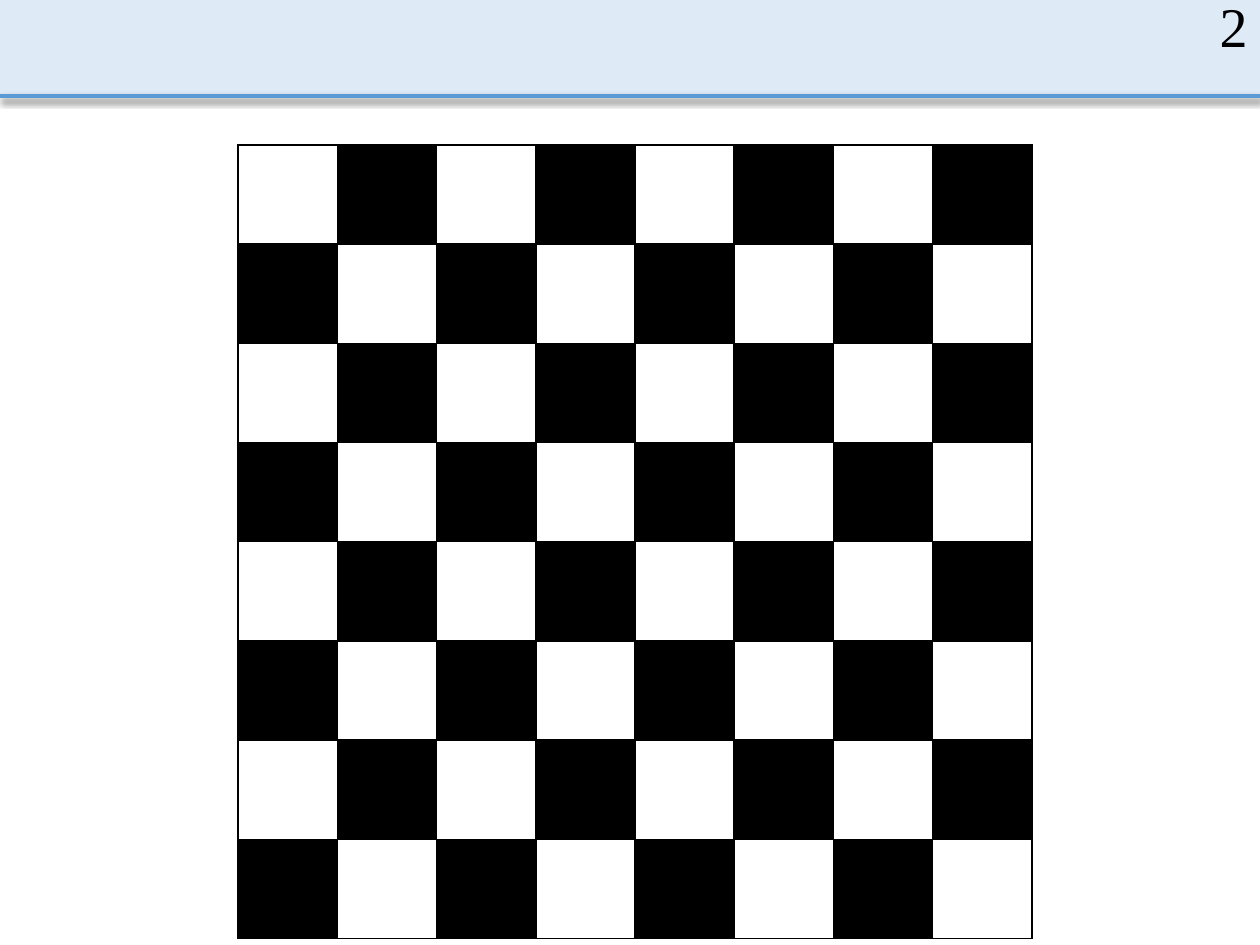
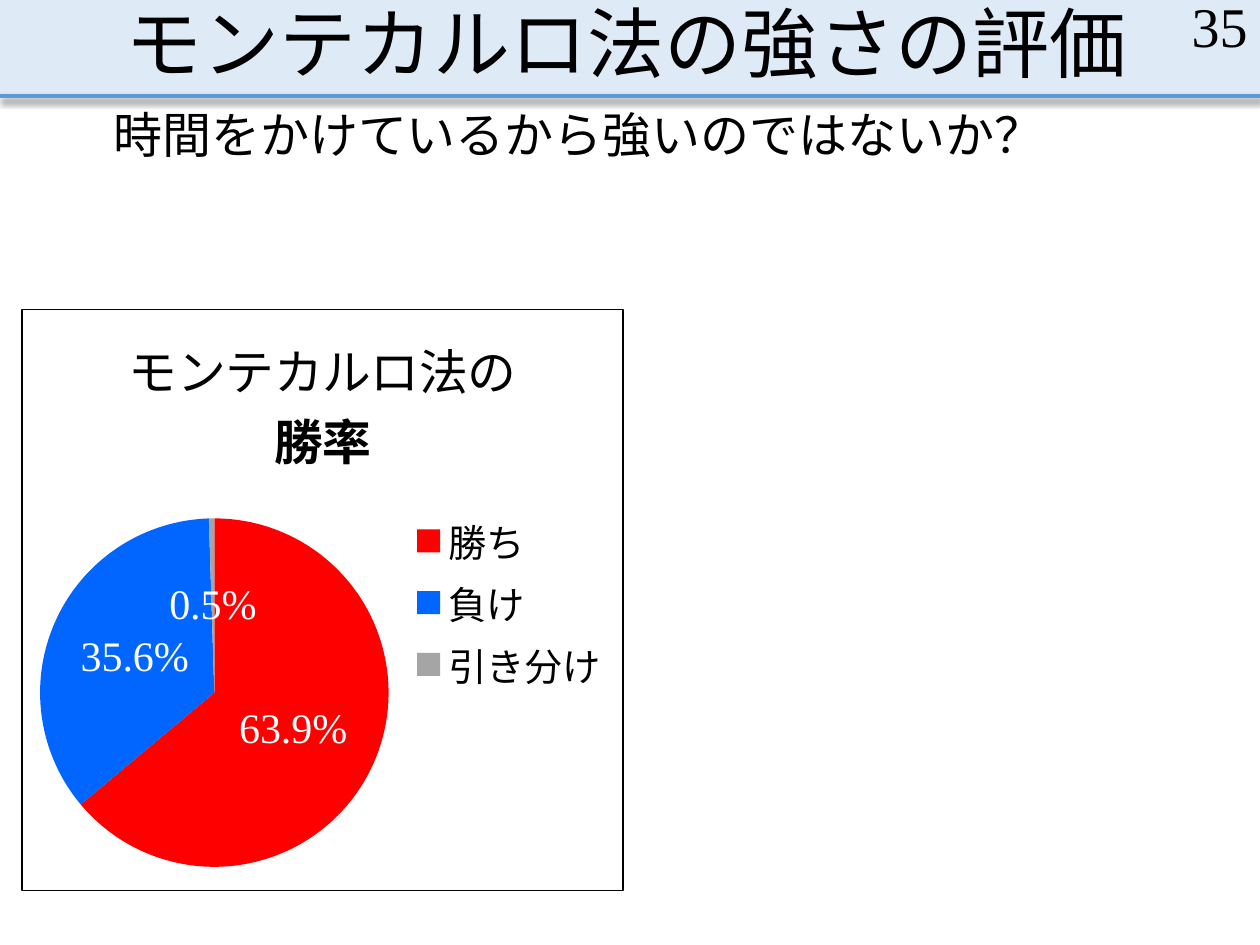
from dataclasses import dataclass

from lxml import etree
from pptx import Presentation
from pptx import util as u
from pptx.chart.data import CategoryChartData
from pptx.dml.color import RGBColor
from pptx.enum import chart as ch, shapes, text
from pptx.oxml import parse_xml
from pptx.oxml.ns import nsdecls, qn

WIDTH, HEIGHT = u.Inches(10), u.Inches(7.5)
FONT = "Times New Roman"
BLACK, WHITE = "000000", "FFFFFF"
BAND_FILL, BAND_LINE = "DEEBF7", "5B9BD5"
BOARD_SIZE = 8


@dataclass(frozen=True)
class Box:
    """A frame in percent of the slide's width and height."""
    left: float
    top: float
    width: float
    height: float

    def emu(self) -> tuple[int, int, int, int]:
        return (round(self.left * WIDTH / 100), round(self.top * HEIGHT / 100),
                round(self.width * WIDTH / 100), round(self.height * HEIGHT / 100))


@dataclass(frozen=True)
class Outcome:
    label: str
    percent: float
    color: str


BAND = Box(0, 0, 100, 10.13)
TITLE = Box(9, 0, 82.5, 10.13)
PAGE_NUMBER = Box(77.5, 0, 22.5, 5.33)
QUESTION = Box(9, 11.07, 87.2, 20.8)
BOARD = Box(18.9, 15.33, 63, 84)
WIN_RATE = Box(1.7, 32.67, 47.8, 61.6)

OUTCOMES = [
    Outcome("勝ち", 63.9, "FF0000"),
    Outcome("負け", 35.6, "0066FF"),
    Outcome("引き分け", 0.5, "A5A5A5"),
]


def rgb(color: str) -> RGBColor:
    return RGBColor.from_string(color)


def fill(obj, color: str) -> None:
    obj.fill.solid()
    obj.fill.fore_color.rgb = rgb(color)


def style_font(font, size: float, color: str = BLACK, bold: bool = False) -> None:
    font.name, font.size, font.bold = FONT, u.Pt(size), bold
    font.color.rgb = rgb(color)


def line_xml(tag: str, color: str, points: float) -> str:
    return (f'<a:{tag} {nsdecls("a")} w="{u.Pt(points)}"><a:solidFill>'
            f'<a:srgbClr val="{color}"/></a:solidFill></a:{tag}>')


def add_text(slide, box: Box, content: str, *, size: float,
             align=text.PP_ALIGN.LEFT, anchor=text.MSO_ANCHOR.TOP,
             spacing: float = 1.0, side_inset: float = 0.1) -> None:
    tf = slide.shapes.add_textbox(*box.emu()).text_frame
    tf.word_wrap = True
    tf.vertical_anchor = anchor
    tf.margin_left = tf.margin_right = u.Inches(side_inset)
    p = tf.paragraphs[0]
    p.alignment, p.line_spacing = align, spacing
    r = p.add_run()
    r.text = content
    style_font(r.font, size)


def add_band(slide) -> None:
    left, top, width, height = BAND.emu()
    sp = slide.shapes.add_shape(shapes.MSO_SHAPE.RECTANGLE, left, top, width, height)
    sp.shadow.inherit = False
    fill(sp, BAND_FILL)
    sp.line.fill.background()
    rule = slide.shapes.add_connector(shapes.MSO_CONNECTOR.STRAIGHT,
                                      left, height, width, height)
    rule.line.color.rgb = rgb(BAND_LINE)
    rule.line.width = u.Pt(2.25)
    rule._element.spPr.append(parse_xml(
        f'<a:effectLst {nsdecls("a")}><a:outerShdw blurRad="{u.Pt(4)}" '
        f'dist="{u.Pt(2.5)}" dir="5400000" algn="t" rotWithShape="0">'
        f'<a:srgbClr val="{BLACK}"><a:alpha val="47000"/></a:srgbClr>'
        '</a:outerShdw></a:effectLst>'))


def new_slide(prs, number: int, title: str = ""):
    slide = prs.slides.add_slide(prs.slide_layouts[6])
    add_band(slide)
    if title:
        add_text(slide, TITLE, title, size=44, spacing=0.9,
                 anchor=text.MSO_ANCHOR.BOTTOM)
    add_text(slide, PAGE_NUMBER, str(number), size=32,
             align=text.PP_ALIGN.RIGHT, anchor=text.MSO_ANCHOR.MIDDLE)
    return slide


def add_checkerboard(slide) -> None:
    table = slide.shapes.add_table(BOARD_SIZE, BOARD_SIZE, *BOARD.emu()).table
    table.first_row = table.horz_banding = False
    for row in range(BOARD_SIZE):
        for col in range(BOARD_SIZE):
            cell = table.cell(row, col)
            tc_pr = cell._tc.get_or_add_tcPr()
            for side in ("lnL", "lnR", "lnT", "lnB"):
                tc_pr.append(parse_xml(line_xml(side, BLACK, 1)))
            fill(cell, BLACK if (row + col) % 2 else WHITE)


def place(element, left: float, top: float, width: float, height: float,
          inner: bool = False) -> None:
    """Fix a chart part at shares of the chart's frame."""
    old = element.find(qn("c:layout"))
    if old is not None:
        element.remove(old)
    layout = etree.Element(qn("c:layout"))
    manual = etree.SubElement(layout, qn("c:manualLayout"))
    settings = {"xMode": "edge", "yMode": "edge",
                "x": left, "y": top, "w": width, "h": height}
    if inner:
        settings = {"layoutTarget": "inner", **settings}
    for tag, value in settings.items():
        etree.SubElement(manual, qn(f"c:{tag}")).set("val", str(value))
    position = element.find(qn("c:legendPos"))
    if position is None:
        element.insert(0, layout)
    else:
        position.addnext(layout)


def add_win_rate_chart(slide) -> None:
    data = CategoryChartData(number_format="0.0")
    data.categories = [o.label for o in OUTCOMES]
    data.add_series("勝率", [o.percent for o in OUTCOMES])
    chart = slide.shapes.add_chart(ch.XL_CHART_TYPE.PIE, *WIN_RATE.emu(), data).chart
    style_font(chart.font, 10)

    tf = chart.chart_title.text_frame
    for p, content, bold in ((tf.paragraphs[0], "モンテカルロ法の", False),
                             (tf.add_paragraph(), "勝率", True)):
        r = p.add_run()
        r.text = content
        style_font(r.font, 28, bold=bold)
    chart.chart_title.include_in_layout = False

    chart.has_legend = True
    chart.legend.position = ch.XL_LEGEND_POSITION.RIGHT
    chart.legend.include_in_layout = False
    style_font(chart.legend.font, 22)

    plot = chart.plots[0]
    plot.vary_by_categories = True
    for index, outcome in enumerate(OUTCOMES):
        fill(plot.series[0].points[index].format, outcome.color)
    plot.has_data_labels = True
    labels = plot.data_labels
    labels.show_percentage, labels.show_value = True, False
    labels.number_format, labels.number_format_is_linked = "0.0%", False
    labels.position = ch.XL_LABEL_POSITION.CENTER
    style_font(labels.font, 24, WHITE)

    root = chart._chartSpace
    place(root.chart.plotArea, 0.03, 0.36, 0.58, 0.6, inner=True)
    place(chart.legend._element, 0.64, 0.34, 0.34, 0.33)
    root.chart.addnext(parse_xml(
        f'<c:spPr {nsdecls("c", "a")}><a:noFill/>{line_xml("ln", BLACK, 0.75)}</c:spPr>'))


def main() -> None:
    prs = Presentation()
    prs.slide_width, prs.slide_height = WIDTH, HEIGHT

    add_checkerboard(new_slide(prs, 2))

    evaluation = new_slide(prs, 35, "モンテカルロ法の強さの評価")
    add_text(evaluation, QUESTION, "時間をかけているから強いのではないか？",
             size=28, spacing=0.9, side_inset=0)
    add_win_rate_chart(evaluation)

    prs.save("out.pptx")


if __name__ == "__main__":
    main()
